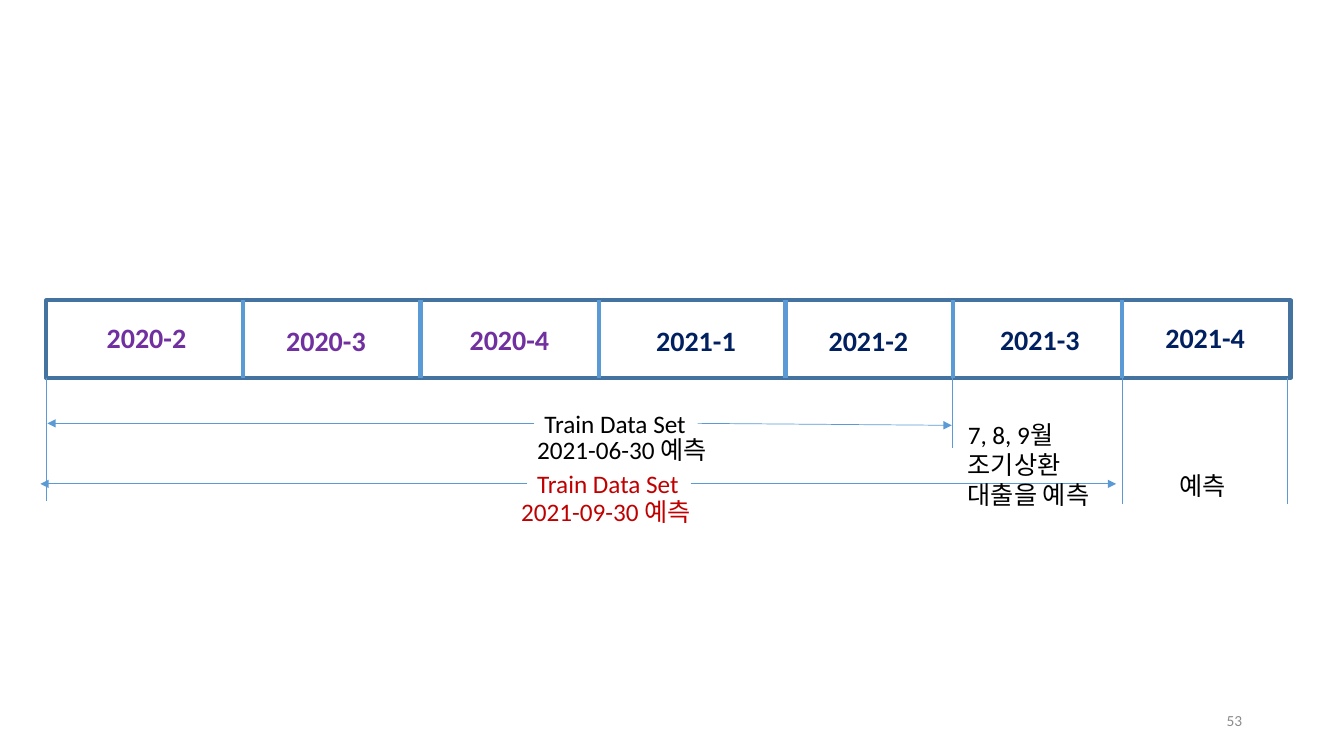
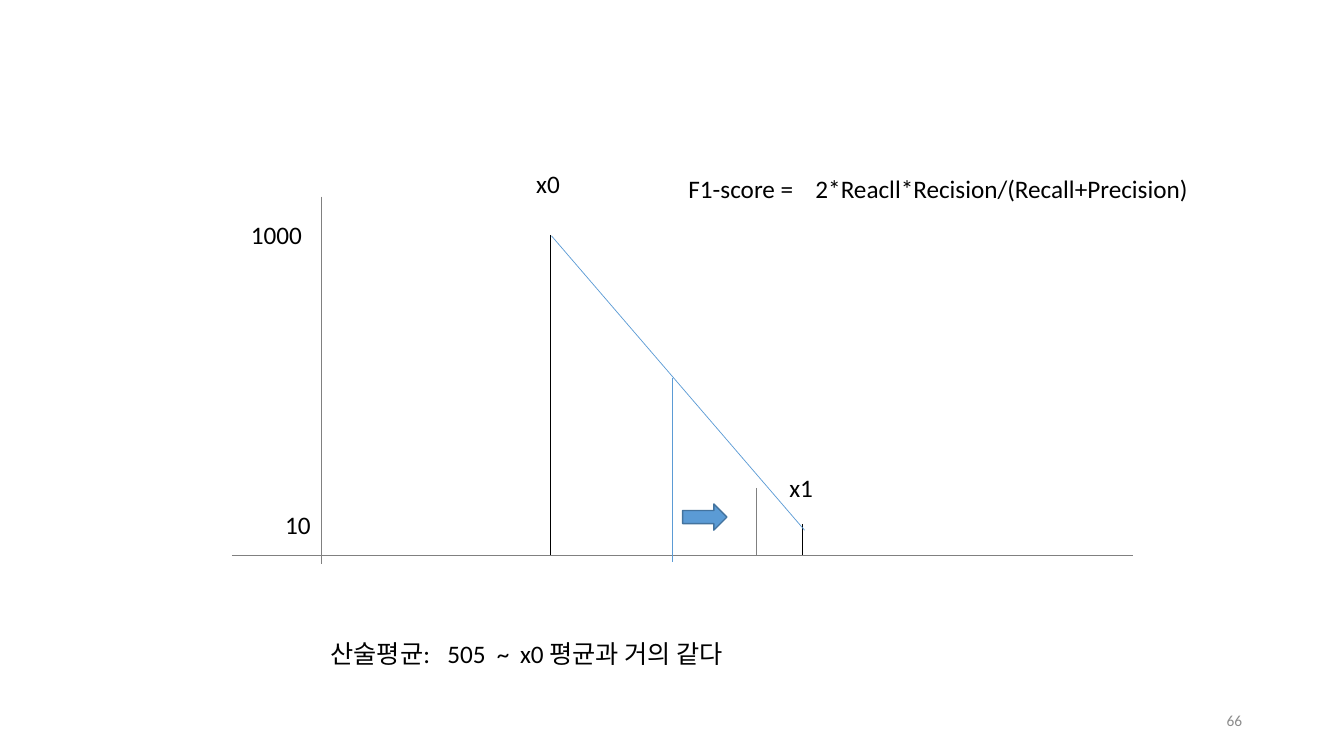
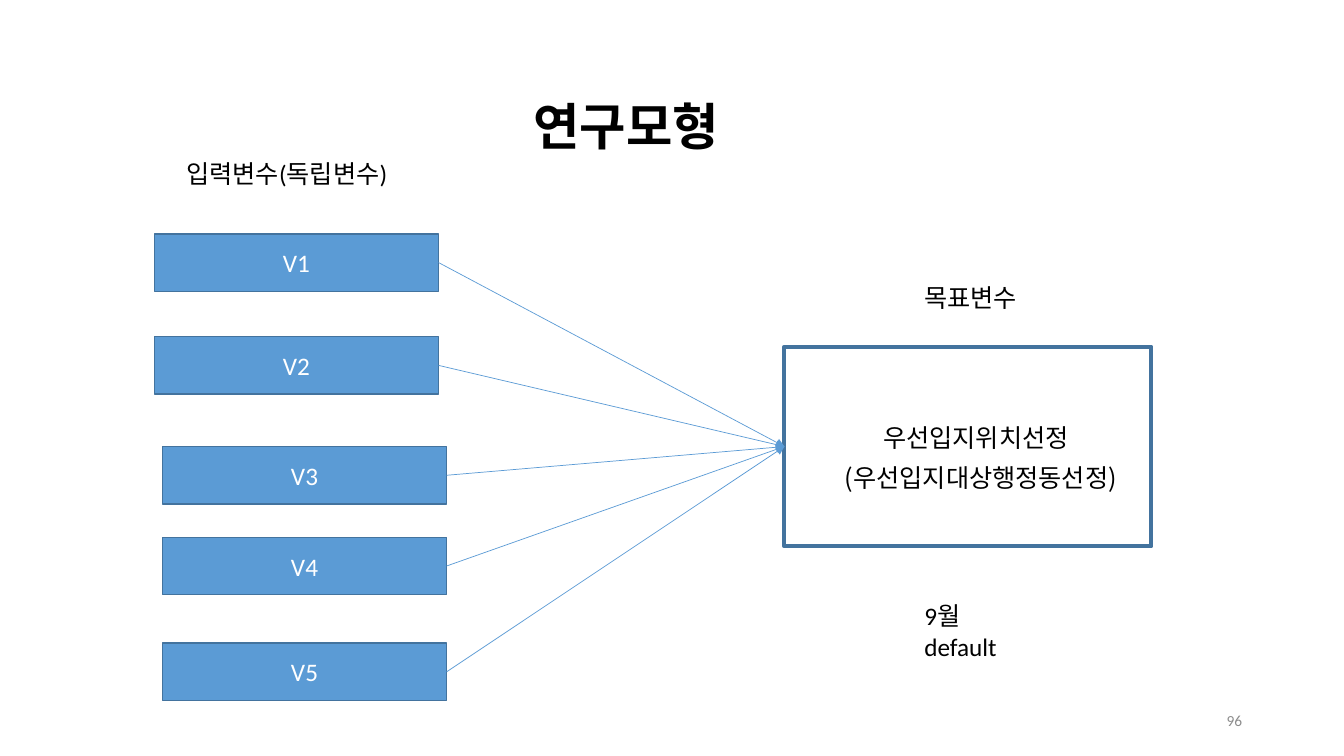
from dataclasses import dataclass
from typing import NamedTuple

from lxml.etree import SubElement
from pptx import Presentation
from pptx.dml.color import RGBColor
from pptx.enum.shapes import MSO_CONNECTOR, MSO_SHAPE as Preset
from pptx.enum.text import MSO_ANCHOR as Anchor, MSO_AUTO_SIZE as AutoSize, PP_ALIGN as Align
from pptx.oxml.ns import qn
from pptx.util import Inches, Pt

BLUE, EDGE, GRAY = "5B9BD5", "43739E", "808080"
NAVY, PURPLE, RED = "002060", "7030A0", "C00000"
BLACK, WHITE, FOOTER = "000000", "FFFFFF", "8C8C8C"
LATIN, KOREAN = "Calibri", "Noto Sans CJK KR"


@dataclass(frozen=True)
class Label:
    left: float
    top: float
    width: float
    text: str
    height: float = 0.4
    size: float = 18
    color: str = BLACK
    bold: bool = False
    font: str = LATIN
    wrap: bool = False
    align: Align = Align.LEFT
    anchor: Anchor = Anchor.TOP
    tabs: tuple[float, ...] = ()


class Stroke(NamedTuple):
    x1: float
    y1: float
    x2: float
    y2: float
    color: str = BLUE
    width: float = 0.5
    arrow: bool = False


class Block(NamedTuple):
    left: float
    top: float
    width: float
    height: float
    fill: str | None = BLUE
    line: float = 1
    preset: Preset = Preset.RECTANGLE


class Quarter(NamedTuple):
    name: str
    start: float
    label_left: float
    label_top: float
    color: str


def rgb(color: str) -> RGBColor:
    return RGBColor.from_string(color)


def write_text(frame, label: Label) -> None:
    settings = {"word_wrap": label.wrap, "vertical_anchor": label.anchor,
                "auto_size": AutoSize.NONE if label.wrap else AutoSize.SHAPE_TO_FIT_TEXT}
    for name, value in settings.items():
        setattr(frame, name, value)
    for index, line in enumerate(label.text.split("\n")):
        para = frame.add_paragraph() if index else frame.paragraphs[0]
        para.alignment = label.align
        if label.tabs:
            tab_list = SubElement(para._p.get_or_add_pPr(), qn("a:tabLst"))
            for position in label.tabs:
                SubElement(tab_list, qn("a:tab"), pos=str(Inches(position)), algn="l")
        span = para.add_run()
        span.text = line
        formats = {"name": label.font, "size": Pt(label.size), "bold": label.bold}
        for name, value in formats.items():
            setattr(span.font, name, value)
        span.font.color.rgb = rgb(label.color)


def add_label(page, label: Label) -> None:
    box = page.shapes.add_textbox(*map(Inches, (label.left, label.top, label.width, label.height)))
    write_text(box.text_frame, label)


def add_title(page, label: Label) -> None:
    title = page.shapes.title
    for name in ("left", "top", "width", "height"):
        setattr(title, name, Inches(getattr(label, name)))
    write_text(title.text_frame, label)


def add_stroke(page, stroke: Stroke) -> None:
    line = page.shapes.add_connector(MSO_CONNECTOR.STRAIGHT, *map(Inches, stroke[:4]))
    line.line.color.rgb = rgb(stroke.color)
    line.line.width = Pt(stroke.width)
    if stroke.arrow:
        SubElement(line.line._get_or_add_ln(), qn("a:tailEnd"), type="triangle")
    SubElement(line._element.spPr, qn("a:effectLst"))


def add_block(page, block: Block):
    shape = page.shapes.add_shape(block.preset, *map(Inches, block[:4]))
    shape.shadow.inherit = False
    if block.fill:
        shape.fill.solid()
        shape.fill.fore_color.rgb = rgb(block.fill)
    else:
        shape.fill.background()
    shape.line.color.rgb = rgb(EDGE)
    shape.line.width = Pt(block.line)
    return shape


def add_page(deck, number: int, titled: bool = False):
    page = deck.slides.add_slide(deck.slide_layouts[5 if titled else 6])
    add_label(page, Label(9.42, 6.95, 3, str(number), size=11, color=FOOTER, wrap=True,
                          align=Align.RIGHT, anchor=Anchor.MIDDLE))
    return page


def build_timeline(deck) -> None:
    page = add_page(deck, 53)
    left, top, height = 0.46, 2.98, 0.77
    bottom = top + height
    add_block(page, Block(left, top, 12.34, height, None, 3))
    quarters = [
        Quarter("2020-2", left, 0.96, 3.13, PURPLE),
        Quarter("2020-3", 2.41, 2.74, 3.16, PURPLE),
        Quarter("2020-4", 4.17, 4.56, 3.15, PURPLE),
        Quarter("2021-1", 5.94, 6.41, 3.16, NAVY),
        Quarter("2021-2", 7.79, 8.12, 3.16, NAVY),
        Quarter("2021-3", 9.45, 9.82, 3.15, NAVY),
        Quarter("2021-4", 11.13, 11.46, 3.13, NAVY),
    ]
    for quarter in quarters:
        if quarter.start > left:
            add_stroke(page, Stroke(quarter.start, top, quarter.start, bottom, width=3))
        add_label(page, Label(quarter.label_left, quarter.label_top, 1, quarter.name, 0.44,
                              size=20, color=quarter.color, bold=True))
    for x, end in ((left, 4.97), (9.45, 4.44), (11.13, 5), (12.77, 5)):
        add_stroke(page, Stroke(x, bottom, x, end))
    for stroke in (
        Stroke(5.3, 4.2, 0.47, 4.2, arrow=True),
        Stroke(6.92, 4.2, 9.44, 4.22, arrow=True),
        Stroke(5.23, 4.8, 0.4, 4.8, arrow=True),
        Stroke(6.85, 4.8, 11.07, 4.8, arrow=True),
    ):
        add_stroke(page, stroke)
    for label in (
        Label(5.3, 4, 1.62, "Train Data Set", wrap=True),
        Label(5.23, 4.26, 1.94, "2021-06-30 예측"),
        Label(5.23, 4.6, 1.62, "Train Data Set", color=RED),
        Label(5.07, 4.87, 1.94, "2021-09-30 예측", color=RED),
        Label(11.6, 4.62, 0.71, "예측"),
        Label(9.5, 4.11, 1.52, "7, 8, 9월\n조기상환\n대출을 예측", 1.01),
    ):
        add_label(page, label)


def build_mean_chart(deck) -> None:
    page = add_page(deck, 66)
    axis = 5.51
    for stroke in (
        Stroke(2.3, axis, 11.24, axis, GRAY),
        Stroke(3.19, 1.95, 3.19, 5.6, GRAY),
        Stroke(5.46, 2.33, 5.46, axis, BLACK),
        Stroke(7.96, 5.2, 7.96, axis, BLACK),
        Stroke(5.47, 2.34, 7.98, 5.26),
        Stroke(6.67, 3.75, 6.67, 5.58),
        Stroke(7.5, 4.84, 7.5, axis, GRAY),
    ):
        add_stroke(page, stroke)
    add_block(page, Block(6.77, 5, 0.44, 0.26, preset=Preset.RIGHT_ARROW))
    for label in (
        Label(2.73, 5, 0.46, "10"),
        Label(2.39, 2.13, 0.71, "1000"),
        Label(5.22, 1.62, 0.51, "x0", wrap=True),
        Label(7.73, 4.64, 0.51, "x1", wrap=True),
        Label(3.18, 6.28, 4.5, "산술평균:\t505\t~\tx0 평균과 거의 같다", wrap=True,
              tabs=(1.16, 1.65, 1.88)),
        Label(6.73, 1.67, 5.8, "F1-score =\t2*Reacll*Recision/(Recall+Precision)", 0.71,
              wrap=True, tabs=(1.26,)),
    ):
        add_label(page, label)


def build_model(deck) -> None:
    page = add_page(deck, 96, titled=True)
    add_title(page, Label(5.19, 0.89, 2.34, "연구모형", 0.71, size=36, bold=True, wrap=True))
    target = Block(7.78, 3.44, 3.64, 1.98, None, 3)
    add_block(page, target)
    target_middle = target.top + target.height / 2
    width, height = 2.82, 0.57
    places = [(1.53, 2.32), (1.53, 3.34), (1.61, 4.43), (1.61, 5.33), (1.61, 6.38)]
    for number, (left, top) in enumerate(places, 1):
        variable = add_block(page, Block(left, top, width, height))
        write_text(variable.text_frame, Label(left, top, width, f"V{number}", color=WHITE, wrap=True,
                                              align=Align.CENTER, anchor=Anchor.MIDDLE))
        add_stroke(page, Stroke(left + width, top + height / 2, target.left, target_middle, arrow=True))
    for label in (
        Label(8.66, 4.14, 2.49, "우선입지위치선정", font=KOREAN, wrap=True),
        Label(8.28, 4.54, 3, "(우선입지대상행정동선정)", font=KOREAN, wrap=True),
        Label(9.07, 2.75, 1.21, "목표변수"),
        Label(1.75, 1.52, 2.38, "입력변수(독립변수)"),
        Label(9.07, 5.91, 1.2, "9월 default", wrap=True),
    ):
        add_label(page, label)


def main() -> None:
    deck = Presentation()
    deck.slide_width, deck.slide_height = Inches(13.33), Inches(7.5)
    for build in (build_timeline, build_mean_chart, build_model):
        build(deck)
    deck.save("out.pptx")


if __name__ == "__main__":
    main()
